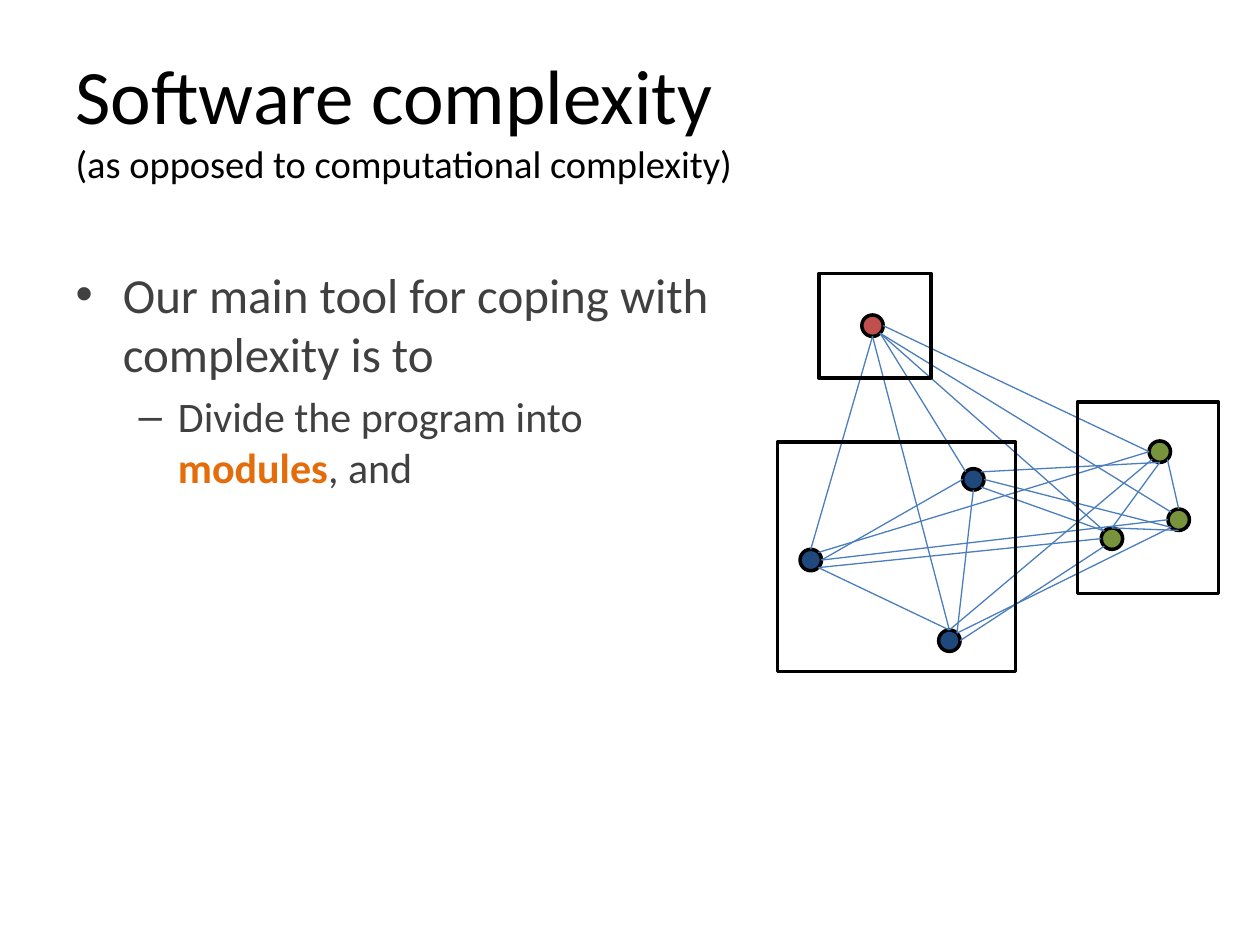
import math

from lxml import etree
from pptx import Presentation
from pptx.dml.color import RGBColor
from pptx.enum import shapes, text
from pptx.oxml.ns import qn
from pptx.util import Inches, Pt

COLORS = {"black": "000000", "body": "404040", "accent": "E46C0A", "edge": "4B7EBC",
          "red": "C0504D", "green": "77933C", "blue": "1F497D"}

DOT = 0.17  # diameter of a program part

# Program parts: left, top, colour
PARTS = {
    "main": (6.84, 2.50, "red"),
    "green_top": (9.12, 3.50, "green"),
    "green_right": (9.27, 4.04, "green"),
    "green_left": (8.74, 4.19, "green"),
    "blue_left": (6.35, 4.36, "blue"),
    "blue_top": (7.64, 3.72, "blue"),
    "blue_low": (7.45, 5.00, "blue"),
}

# Dependencies: part and compass side at each end
DEPENDENCIES = [
    ("main", "e", "green_top", "w"),
    ("main", "s", "blue_left", "n"),
    ("main", "se", "blue_top", "nw"),
    ("main", "se", "green_right", "nw"),
    ("main", "se", "green_left", "nw"),
    ("main", "s", "blue_low", "n"),
    ("green_top", "w", "blue_left", "ne"),
    ("green_top", "sw", "blue_low", "n"),
    ("green_top", "s", "blue_top", "ne"),
    ("green_top", "s", "green_left", "n"),
    ("green_top", "se", "green_right", "n"),
    ("blue_left", "se", "blue_low", "n"),
    ("blue_left", "e", "blue_top", "w"),
    ("blue_left", "se", "green_left", "w"),
    ("blue_left", "e", "green_right", "w"),
    ("green_right", "sw", "blue_top", "e"),
    ("green_right", "sw", "blue_low", "ne"),
    ("green_right", "s", "green_left", "n"),
    ("blue_top", "s", "blue_low", "ne"),
    ("blue_top", "se", "green_left", "nw"),
    ("blue_low", "e", "green_left", "sw"),
]

# Module frames: left, top, width, height
MODULES = [(6.17, 3.51, 1.89, 1.82), (8.55, 3.19, 1.12, 1.52), (6.50, 2.17, 0.89, 0.83)]

COMPASS = ["e", "se", "s", "sw", "w", "nw", "n", "ne"]


def rgb(name):
    return RGBColor.from_string(COLORS[name])


def place(shape, left, top, width, height):
    box = {"left": left, "top": top, "width": width, "height": height}
    for side, length in box.items():
        setattr(shape, side, Inches(length))


def add_run(paragraph, wording, color, **font_format):
    run = paragraph.add_run()
    run.text = wording
    run.font.color.rgb = rgb(color)
    for name, value in {"name": "Calibri", **font_format}.items():
        setattr(run.font, name, value)


def add_outlined(slide, kind, box, fill=None):
    outlined = slide.shapes.add_shape(kind, *map(Inches, box))
    outlined.shadow.inherit = False
    if fill:
        outlined.fill.solid()
        outlined.fill.fore_color.rgb = rgb(fill)
    else:
        outlined.fill.background()
    outlined.line.color.rgb = rgb("black")
    outlined.line.width = Pt(2)


def rim_point(part, side):
    left, top, _ = PARTS[part]
    angle = COMPASS.index(side) * math.pi / 4
    radius = DOT / 2
    return (Inches(left + radius + radius * math.cos(angle)),
            Inches(top + radius + radius * math.sin(angle)))


def add_dependency(slide, source, source_side, target, target_side):
    edge = slide.shapes.add_connector(shapes.MSO_CONNECTOR.STRAIGHT,
                                      *rim_point(source, source_side),
                                      *rim_point(target, target_side))
    edge.line.color.rgb = rgb("edge")
    edge.line.width = Pt(0.75)
    etree.SubElement(edge._element.spPr, qn("a:effectLst"))


def fill_title(title):
    place(title, 0.5, 0.3, 9, 1.25)
    title.text_frame.vertical_anchor = text.MSO_ANCHOR.MIDDLE
    heading = title.text_frame.paragraphs[0]
    heading.alignment = text.PP_ALIGN.LEFT
    add_run(heading, "Software complexity", "black", size=Pt(44))
    heading.add_line_break()
    add_run(heading, "(as opposed to computational complexity)", "black", size=Pt(22))


def fill_body(body):
    place(body, 0.5, 2.05, 5.25, 4.95)
    tool = body.text_frame.paragraphs[0]
    add_run(tool, "Our main tool for coping with complexity is to", "body", size=Pt(28))
    step = body.text_frame.add_paragraph()
    step.level = 1
    add_run(step, "Divide the program into ", "body", size=Pt(24))
    add_run(step, "modules", "accent", size=Pt(24), bold=True)
    add_run(step, ", and", "body", size=Pt(24))


def main():
    prs = Presentation()
    prs.slide_width, prs.slide_height = Inches(10), Inches(7.5)
    slide = prs.slides.add_slide(prs.slide_layouts[1])

    # Wording
    fill_title(slide.shapes.title)
    fill_body(slide.placeholders[1])

    # Dependency graph, then the module frames over it
    for left, top, color in PARTS.values():
        add_outlined(slide, shapes.MSO_SHAPE.OVAL, (left, top, DOT, DOT), color)
    for dependency in DEPENDENCIES:
        add_dependency(slide, *dependency)
    for frame in MODULES:
        add_outlined(slide, shapes.MSO_SHAPE.RECTANGLE, frame)

    prs.save("out.pptx")


if __name__ == "__main__":
    main()
